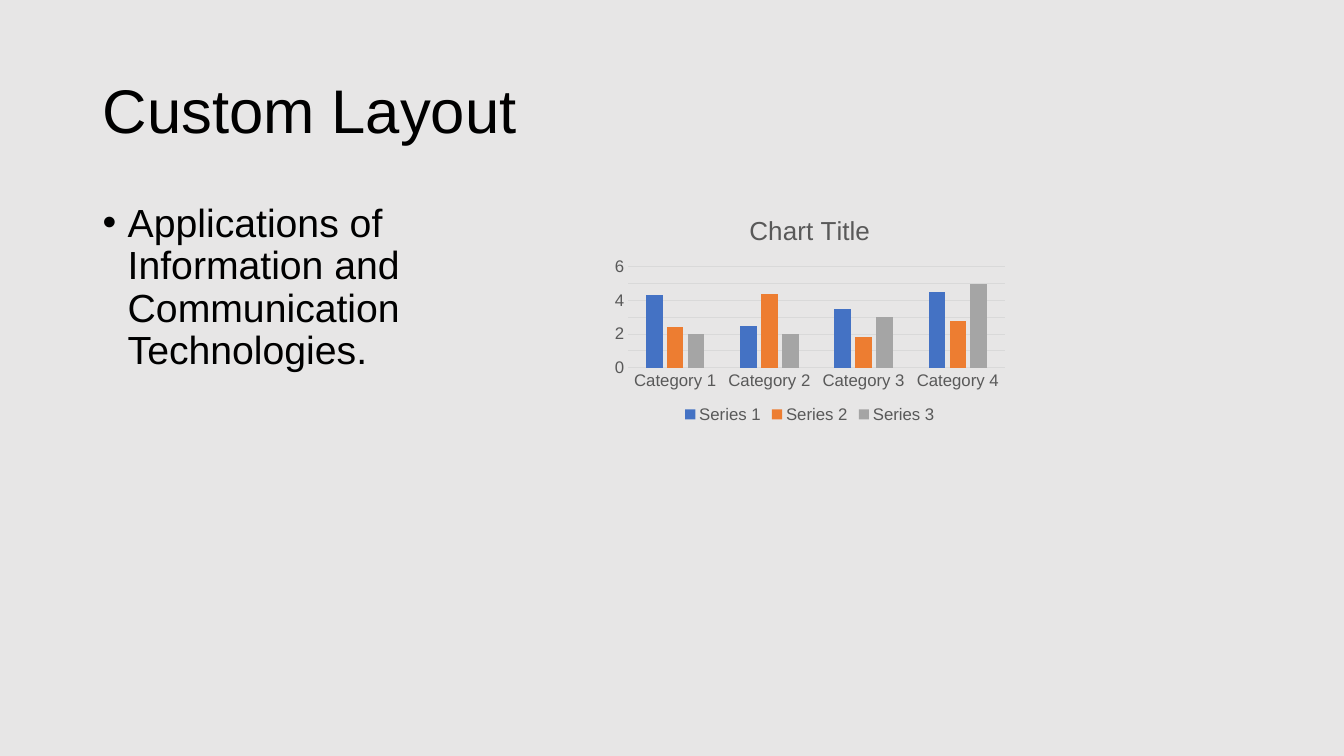
from lxml.etree import SubElement
from pptx import Presentation
from pptx.chart.data import CategoryChartData
from pptx.dml.color import RGBColor
from pptx.enum.chart import XL_CHART_TYPE, XL_LEGEND_POSITION, XL_TICK_MARK
from pptx.enum.text import MSO_ANCHOR, MSO_AUTO_SIZE, PP_ALIGN
from pptx.oxml.ns import qn
from pptx.util import Cm, Pt

FONT = "Arial"
BACKGROUND = RGBColor(0xE7, 0xE6, 0xE6)
BLACK = RGBColor(0x00, 0x00, 0x00)
GREY = RGBColor(0x59, 0x59, 0x59)
GRID = RGBColor(0xD9, 0xD9, 0xD9)
BLUE = RGBColor(0x44, 0x72, 0xC4)
ORANGE = RGBColor(0xED, 0x7D, 0x31)
SILVER = RGBColor(0xA5, 0xA5, 0xA5)

CATEGORIES = ["Category 1", "Category 2", "Category 3", "Category 4"]
SERIES = [
    ("Series 1", (4.3, 2.5, 3.5, 4.5), BLUE),
    ("Series 2", (2.4, 4.4, 1.8, 2.8), ORANGE),
    ("Series 3", (2, 2, 3, 5), SILVER),
]


def style_font(font, size, color):
    """Set the typeface, size and colour of a font."""
    font.name = FONT
    font.size = Pt(size)
    font.bold = False
    font.color.rgb = color


def fill_placeholder(sp, box, text, size, anchor):
    """Place a one-paragraph placeholder in its box and return the paragraph."""
    sp.left, sp.top, sp.width, sp.height = box
    tf = sp.text_frame
    tf.text = text
    tf.word_wrap = True
    tf.auto_size = MSO_AUTO_SIZE.NONE
    tf.vertical_anchor = anchor
    p = tf.paragraphs[0]
    p.alignment = PP_ALIGN.LEFT
    p.line_spacing = 0.9
    p.space_before = Pt(0)
    style_font(p.runs[0].font, size, BLACK)
    return p


def add_title(s, box):
    """Write the slide title."""
    fill_placeholder(s.shapes.title, box, "Custom Layout", 44, MSO_ANCHOR.MIDDLE)


def add_body(s, box):
    """Write the bulleted text."""
    text = "Applications of Information and Communication Technologies."
    p = fill_placeholder(s.placeholders[1], box, text, 28, MSO_ANCHOR.TOP)
    pPr = p._p.get_or_add_pPr()
    indent = Cm(0.635)
    pPr.set("marL", str(indent))
    pPr.set("indent", str(-indent))
    SubElement(pPr, qn("a:buFont"), typeface=FONT)
    SubElement(pPr, qn("a:buChar"), char="•")


def style_axis(axis):
    """Give an axis grey labels and no tick marks."""
    axis.major_tick_mark = XL_TICK_MARK.NONE
    axis.minor_tick_mark = XL_TICK_MARK.NONE
    style_font(axis.tick_labels.font, 12, GREY)


def style_line(line):
    """Draw a thin pale line."""
    line.color.rgb = GRID
    line.width = Pt(0.75)


def add_column_chart(s, box):
    """Draw the clustered columns with title and legend."""
    data = CategoryChartData()
    data.categories = CATEGORIES
    for name, values, _ in SERIES:
        data.add_series(name, values)
    chart = s.shapes.add_chart(XL_CHART_TYPE.COLUMN_CLUSTERED, *box, data).chart
    style_font(chart.font, 10, BLACK)

    chart.has_title = True
    tf = chart.chart_title.text_frame
    tf.text = "Chart Title"
    style_font(tf.paragraphs[0].runs[0].font, 18.6, GREY)
    chart.chart_title.include_in_layout = False

    chart.has_legend = True
    chart.legend.position = XL_LEGEND_POSITION.BOTTOM
    chart.legend.include_in_layout = False
    style_font(chart.legend.font, 12, GREY)

    style_axis(chart.category_axis)
    style_line(chart.category_axis.format.line)
    value_axis = chart.value_axis
    style_axis(value_axis)
    value_axis.format.line.fill.background()
    value_axis.has_major_gridlines = True
    style_line(value_axis.major_gridlines.format.line)

    plot = chart.plots[0]
    plot.vary_by_categories = False
    plot.gap_width = 219
    plot.overlap = -27
    for series, (_, _, color) in zip(plot.series, SERIES):
        series.format.fill.solid()
        series.format.fill.fore_color.rgb = color


def main():
    """Build and save the slide."""
    prs = Presentation()
    prs.slide_width, prs.slide_height = Cm(33.87), Cm(19.05)
    s = prs.slides.add_slide(prs.slide_layouts[1])
    s.background.fill.solid()
    s.background.fill.fore_color.rgb = BACKGROUND
    left, top = Cm(2.33), Cm(5)
    add_title(s, (left, Cm(1.01), Cm(29.21), Cm(3.68)))
    add_column_chart(s, (Cm(15.29), top, Cm(10.24), Cm(5.77)))
    add_body(s, (left, top, Cm(12.29), Cm(12.27)))
    prs.save("out.pptx")


if __name__ == "__main__":
    main()
